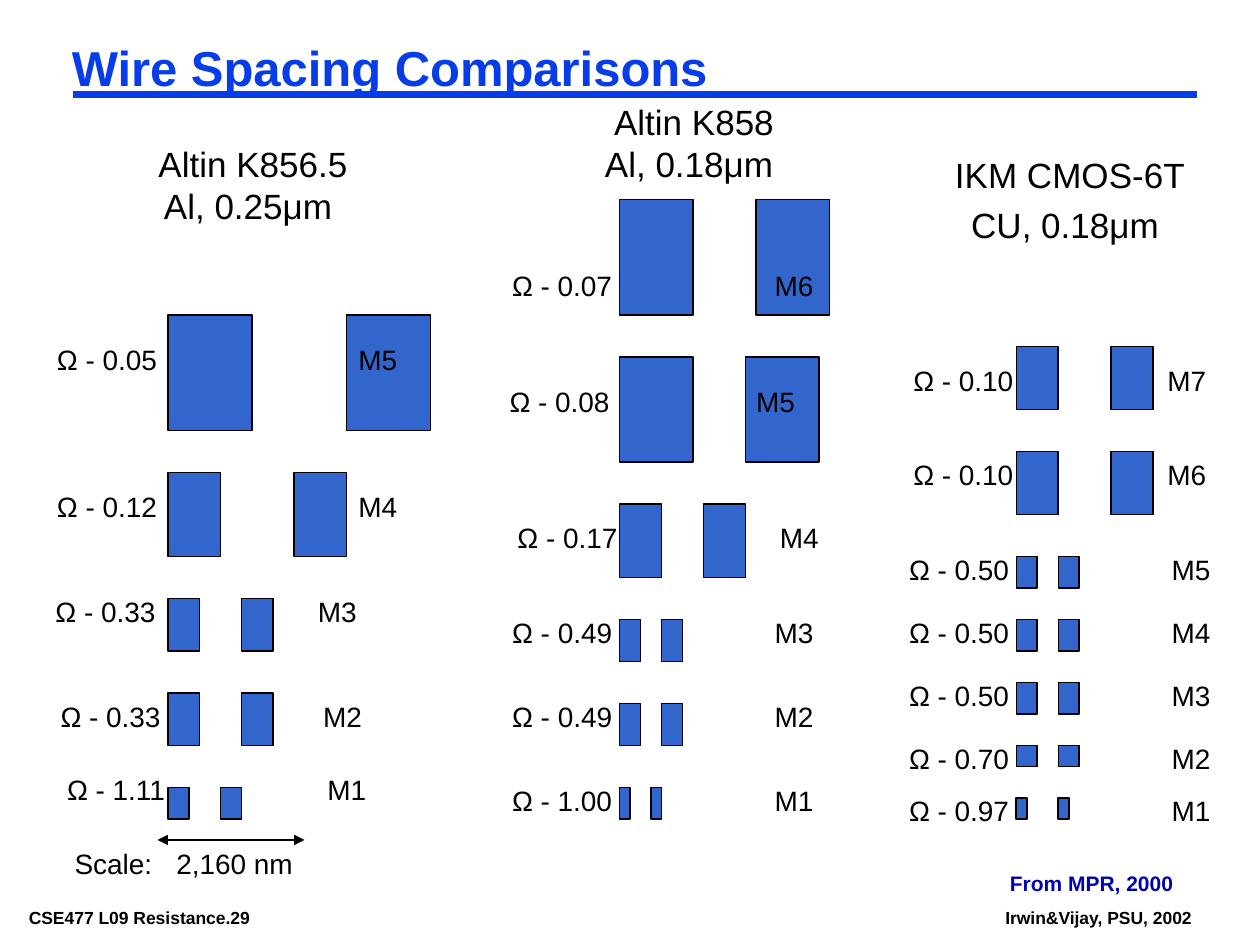
import pptx
import pptx.util
import pptx.dml.color
import pptx.enum.shapes
import pptx.enum.text
import pptx.oxml.ns
import lxml.etree

prs = pptx.Presentation()
prs.slide_width = pptx.util.Inches(10)
prs.slide_height = pptx.util.Inches(7.5)
s = prs.slides.add_slide(prs.slide_layouts[6])
U = prs.slide_width / 120
LEFT = pptx.enum.text.PP_ALIGN.LEFT
CENTER = pptx.enum.text.PP_ALIGN.CENTER
qn = pptx.oxml.ns.qn


def rgb(color):
    return pptx.dml.color.RGBColor.from_string(color)


def add_text(box, text, size, color="000000", bold=False, align=LEFT,
             inset=(1.2, 0.6), tab=None, spacing=None, gap=0):
    tb = s.shapes.add_textbox(*[round(v * U) for v in box])
    tf = tb.text_frame
    tf.word_wrap = True
    tf.margin_left = round(inset[0] * U)
    tf.margin_right = tf.margin_left if align == CENTER else 0
    tf.margin_top = tf.margin_bottom = round(inset[1] * U)
    tf.text = text
    for i, p in enumerate(tf.paragraphs):
        p.alignment = align
        if spacing:
            p.line_spacing = spacing
        if i:
            p.space_before = pptx.util.Pt(gap)
        if tab:
            tabs = lxml.etree.SubElement(p._p.get_or_add_pPr(), qn("a:tabLst"))
            lxml.etree.SubElement(tabs, qn("a:tab"), pos=str(round(tab * U)), algn="l")
        for r in p.runs:
            r.font.name = "Arial"
            r.font.size = pptx.util.Pt(size)
            r.font.bold = bold
            r.font.color.rgb = rgb(color)


lines = [
    (7, 9, 114, 9, "063DE8", 4.5, False),
    (15, 80, 29, 80, "000000", 1, True),
]
for x1, y1, x2, y2, color, width, arrows in lines:
    c = s.shapes.add_connector(pptx.enum.shapes.MSO_CONNECTOR.STRAIGHT,
                               *[round(v * U) for v in (x1, y1, x2, y2)])
    c.line.color.rgb = rgb(color)
    c.line.width = pptx.util.Pt(width)
    if arrows:
        ln = c.line._get_or_add_ln()
        for end in ("a:headEnd", "a:tailEnd"):
            lxml.etree.SubElement(ln, qn(end), type="triangle")
    lxml.etree.SubElement(c._element.spPr, qn("a:effectLst"))

small = (0.84, 0.36)
add_text((6, 4, 107, 5.5), "Wire Spacing Comparisons", 28, "063DE8", True,
         inset=small, spacing=0.87)
add_text((1.9, 86, 29.4, 2.6), "CSE477 L09 Resistance.29", 10, bold=True, inset=small)
add_text((94.9, 86, 19.6, 2.6), "Irwin&Vijay, PSU, 2002", 10, bold=True, inset=small)
add_text((95, 82.3, 17.9, 3.6), "From MPR, 2000", 12, "0000B6", True)
add_text((3, 80, 29, 4.4), "Scale:\t2,160 nm", 16, inset=(4.1, 0.6), tab=9.7)

headings = [
    (6, 13, 9.2, "Altin K856.5\nAl, 0.25μm ", 0),
    (48, 9, 9.2, "Altin K858\nAl, 0.18μm ", 0),
    (83.8, 14, 10.1, "IKM CMOS-6T\nCU, 0.18μm ", 4.6),
]
for x, y, h, text, gap in headings:
    add_text((x, y, 36.2, h), text, 20, align=CENTER, gap=gap)

# Layer, resistance, bar top, width, height, pitch; label offset, top, width, tab
columns = [
    (16, [
        ("M5", "0.05", 30, 8, 11, 17, -15, 32, 42, 28.7),
        ("M4", "0.12", 45, 5, 8, 12, -14, 46, 40, 28.7),
        ("M3", "0.33", 57, 3, 5, 7, -16, 56, 40, 25),
        ("M2", "0.33", 66, 3, 5, 7, -16, 66, 41, 25),
        ("M1", "1.11", 75, 2, 3, 5, -15, 73, 40, 24.8),
    ]),
    (59, [
        ("M6", "0.07", 19, 7, 11, 13, -13, 25, 35, 25),
        ("M5", "0.08", 34, 7, 10, 12, -14, 36, 35, 23.5),
        ("M4", "0.17", 48, 4, 7, 8, -15, 49, 40, 25),
        ("M3", "0.49", 59, 2, 4, 4, -15, 58, 39, 25),
        ("M2", "0.49", 67, 2, 4, 4, -15, 66, 39, 25),
        ("M1", "1.00", 75, 1, 3, 3, -13, 74, 35, 25),
    ]),
    (96.8, [
        ("M7", "0.10", 33, 4, 6, 9, -13, 34, 35, 24.2),
        ("M6", "0.10", 43, 4, 6, 9, -13, 43, 35, 24.2),
        ("M5", "0.50", 53, 2, 3, 4, -13, 52, 35, 25),
        ("M4", "0.50", 59, 2, 3, 4, -13, 58, 35, 25),
        ("M3", "0.50", 65, 2, 3, 4, -13, 64, 35, 25),
        ("M2", "0.70", 71, 2, 2, 4, -13, 70, 35, 25),
        ("M1", "0.97", 76, 1, 2, 4, -13, 75, 35, 25),
    ]),
]
for x, rows in columns:
    for layer, ohms, top, w, h, pitch, dx, label_top, label_w, tab in rows:
        for bar_x in (x, x + pitch):
            sp = s.shapes.add_shape(pptx.enum.shapes.MSO_SHAPE.RECTANGLE,
                                    *[round(v * U) for v in (bar_x, top, w, h)])
            sp.shadow.inherit = False
            sp.fill.solid()
            sp.fill.fore_color.rgb = rgb("3366CC")
            sp.line.color.rgb = rgb("000000")
            sp.line.width = pptx.util.Pt(1)
        add_text((x + dx, label_top, label_w, 4.4), f"Ω - {ohms}\t{layer}", 16,
                 inset=((label_w - tab - 4.44) / 2, 0.6), tab=tab)

prs.save("out.pptx")
